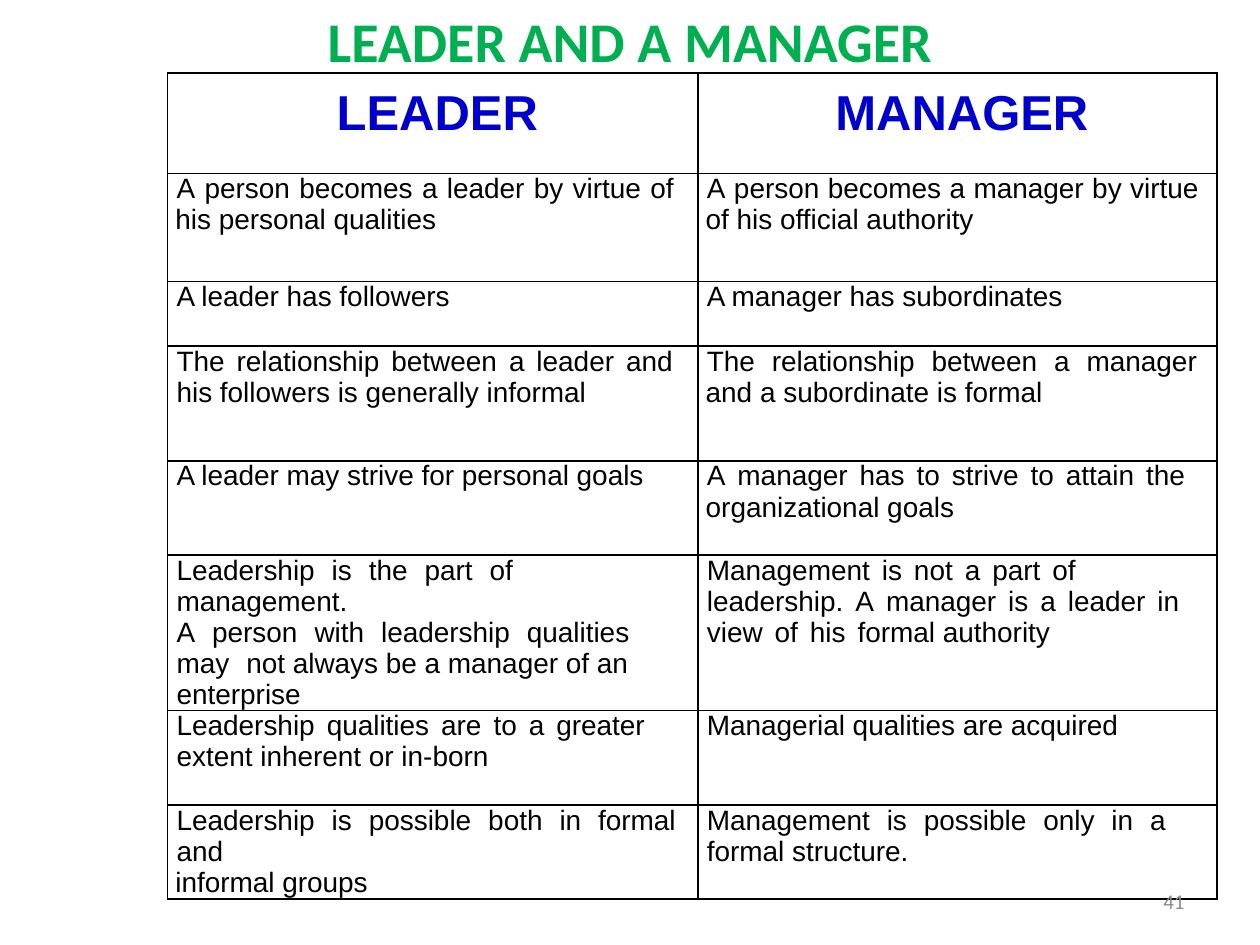
"""Build a slide with a table that compares a leader and a manager."""
from itertools import groupby

from lxml.etree import SubElement
from pptx import Presentation
from pptx.dml.color import RGBColor
from pptx.enum.text import MSO_ANCHOR, PP_ALIGN
from pptx.oxml.ns import qn
from pptx.util import Cm, Pt

BLACK = RGBColor(0x00, 0x00, 0x00)
BLUE = RGBColor(0x00, 0x00, 0xCC)
GREEN = RGBColor(0x00, 0xB0, 0x50)
GRAY = RGBColor(0x8C, 0x8C, 0x8C)

TITLE = "LEADER AND A MANAGER"
PAGE_NUMBER = "41"
HEADINGS = ["LEADER", "MANAGER"]
WIDE, SLIGHT = 240, 40

# Each paragraph: (spread words, extra space in 1/100 pt, plain words)
ROWS = [
    ([("A person becomes a leader by virtue of", 90, ""),
      ("", 0, "\N{NO-BREAK SPACE}his personal qualities")],
     [("A person becomes a manager by virtue", SLIGHT, ""),
      ("", 0, "\N{NO-BREAK SPACE}of his official authority")]),
    ([("", 0, "A leader has followers")],
     [("", 0, "A manager has subordinates")]),
    ([("The relationship between a leader and", WIDE, ""),
      ("", 0, "his followers is generally informal")],
     [("The  relationship  between  a  manager", SLIGHT, ""),
      ("", 0, "\N{NO-BREAK SPACE}and a subordinate is formal")]),
    ([("", 0, "A leader may strive for personal goals")],
     [("A manager has to strive to attain the", WIDE, ""),
      ("", 0, "\N{NO-BREAK SPACE}organizational goals")]),
    ([("Leadership  is  the  part  of  ", SLIGHT, "management."),
      ("A \N{NO-BREAK SPACE}person  with  leadership  qualities  may  ", SLIGHT,
       "not always be a manager of an enterprise")],
     [("Management is not a part of leadership. A manager is a leader in view of his ",
       WIDE, "formal authority")]),
    ([("Leadership qualities are to a greater ", WIDE, "extent inherent or in-born")],
     [("", 0, "Managerial qualities are acquired")]),
    ([("Leadership  is  possible  both  in  formal  and", SLIGHT, ""),
      ("", 0, "\N{NO-BREAK SPACE}informal groups")],
     [("Management  is  possible  only  in  a  ", SLIGHT, "formal structure.")]),
]
COLUMN_WIDTHS = [10.69, 10.46]
ROW_HEIGHTS = [2.03, 2.18, 1.3, 2.31, 1.9, 1.9, 1.9, 1.9]


def style(paragraph, name, size, color, bold=False):
    font = paragraph.font
    font.name, font.size, font.bold = name, Pt(size), bold
    font.color.rgb = color


def indent(paragraph):
    properties = paragraph._p.get_or_add_pPr()
    properties.set("marL", str(Cm(0.18)))
    properties.set("indent", "0")


def format_cell(cell):
    cell.margin_left = cell.margin_right = cell.margin_top = cell.margin_bottom = 0
    properties = cell._tc.get_or_add_tcPr()
    for side in ("a:lnL", "a:lnR", "a:lnT", "a:lnB"):
        line = SubElement(properties, qn(side), w=str(Pt(1)))
        fill = SubElement(line, qn("a:solidFill"))
        SubElement(fill, qn("a:srgbClr"), val=str(BLACK))
    cell.fill.background()


def write_heading(cell, text):
    format_cell(cell)
    cell.margin_top = Pt(26)
    paragraph = cell.text_frame.paragraphs[0]
    paragraph.text = text
    paragraph.alignment = PP_ALIGN.CENTER
    paragraph.line_spacing = Pt(13)
    indent(paragraph)
    style(paragraph, "Arial", 28, BLUE, True)


def write_body(cell, paragraphs):
    format_cell(cell)
    frame = cell.text_frame
    for number, (spread, spacing, plain) in enumerate(paragraphs):
        paragraph = frame.add_paragraph() if number else frame.paragraphs[0]
        for is_space, letters in groupby(spread, str.isspace):
            run = paragraph.add_run()
            run.text = "".join(letters)
            if is_space:
                run._r.get_or_add_rPr().set("spc", str(spacing))
        if plain:
            paragraph.add_run().text = plain
        if not plain.startswith("\N{NO-BREAK SPACE}"):
            indent(paragraph)
        style(paragraph, "Arial", 16, BLACK)


def add_comparison(slide):
    frame = slide.shapes.add_table(
        len(ROW_HEIGHTS), len(COLUMN_WIDTHS), Cm(3.38), Cm(1.47),
        Cm(sum(COLUMN_WIDTHS)), Cm(sum(ROW_HEIGHTS)))
    table = frame.table
    table.first_row = table.horz_banding = False
    for column, width in zip(table.columns, COLUMN_WIDTHS):
        column.width = Cm(width)
    for row, height in zip(table.rows, ROW_HEIGHTS):
        row.height = Cm(height)
    for column, heading in enumerate(HEADINGS):
        write_heading(table.cell(0, column), heading)
    for row, contents in enumerate(ROWS, 1):
        for column, paragraphs in enumerate(contents):
            write_body(table.cell(row, column), paragraphs)


def add_title(slide):
    title = slide.shapes.title
    title.left, title.top, title.width, title.height = Cm(1.27), 0, Cm(22.86), Cm(3.18)
    title.text_frame.vertical_anchor = MSO_ANCHOR.TOP
    paragraph = title.text_frame.paragraphs[0]
    paragraph.text = TITLE
    paragraph.alignment = PP_ALIGN.CENTER
    style(paragraph, "Calibri", 32, GREEN, True)


def add_page_number(slide):
    box = slide.shapes.add_textbox(Cm(18.21), Cm(17.65), Cm(5.92), Cm(1.02))
    box.text_frame.word_wrap = True
    box.text_frame.vertical_anchor = MSO_ANCHOR.MIDDLE
    paragraph = box.text_frame.paragraphs[0]
    paragraph.text = PAGE_NUMBER
    paragraph.alignment = PP_ALIGN.RIGHT
    style(paragraph, "Calibri", 12, GRAY)


def main():
    presentation = Presentation()
    presentation.slide_width, presentation.slide_height = Cm(25.4), Cm(19.05)
    slide = presentation.slides.add_slide(presentation.slide_layouts[5])
    add_comparison(slide)
    add_title(slide)
    add_page_number(slide)
    presentation.save("out.pptx")


if __name__ == "__main__":
    main()
